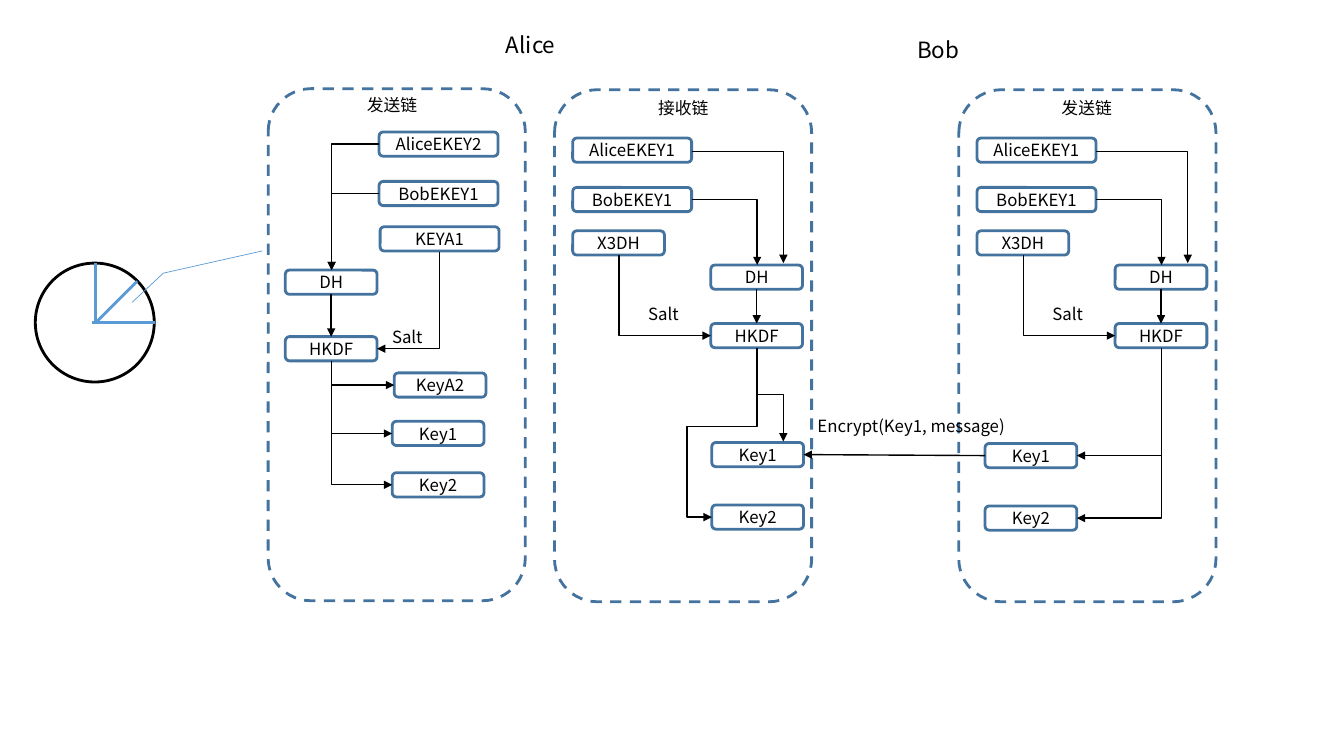
from lxml.etree import SubElement
from pptx import Presentation
from pptx.dml.color import RGBColor
from pptx.enum.dml import MSO_LINE
from pptx.enum.shapes import MSO_CONNECTOR, MSO_SHAPE
from pptx.enum.text import MSO_ANCHOR, PP_ALIGN
from pptx.oxml.ns import qn
from pptx.util import Inches, Pt

COLORS = {"black": "000000", "border": "43739E", "clock": "5B9BD5"}
FONT = "Noto Sans CJK SC"
KEY_WIDTH, WIDE_WIDTH, BOX_HEIGHT = 0.91, 1.18, 0.24

presentation = Presentation()
presentation.slide_width = Inches(13.33)
presentation.slide_height = Inches(7.5)
slide = presentation.slides.add_slide(presentation.slide_layouts[6])


def add_text(text, left, top, width=KEY_WIDTH, height=BOX_HEIGHT, size=12,
             outline=MSO_SHAPE.ROUNDED_RECTANGLE, color="border", dash=None):
    bounds = [Inches(value) for value in (left, top, width, height)]
    if outline is None:
        shape = slide.shapes.add_textbox(*bounds)
    else:
        shape = slide.shapes.add_shape(outline, *bounds)
        shape.shadow.inherit = False
        shape.fill.background()
        shape.line.color.rgb = RGBColor.from_string(COLORS[color])
        shape.line.width = Pt(2)
        if dash:
            shape.line.dash_style = dash
    if text:
        frame = shape.text_frame
        frame.word_wrap = True
        paragraph = frame.paragraphs[0]
        if outline is not None:
            frame.margin_top = frame.margin_bottom = 0
            frame.vertical_anchor = MSO_ANCHOR.MIDDLE
            paragraph.alignment = PP_ALIGN.CENTER
        run = paragraph.add_run()
        run.text = text
        run.font.size = Pt(size)
        run.font.name = FONT
        run.font.color.rgb = RGBColor.from_string(COLORS["black"])
        SubElement(run.font._element, qn("a:ea"), typeface=FONT)
    return shape


def add_line(start, end, bends=0, downward=False, adjustments=(),
             color="black", width=1, arrow=True):
    (x1, y1), (x2, y2) = start, end
    if downward:
        center_x, center_y = (x1 + x2) / 2, (y1 + y2) / 2
        half_x, half_y = (x2 - x1) / 2, (y2 - y1) / 2
        x1, y1 = center_x - half_y, center_y + half_x
        x2, y2 = center_x + half_y, center_y - half_x
    kind = MSO_CONNECTOR.ELBOW if bends else MSO_CONNECTOR.STRAIGHT
    connector = slide.shapes.add_connector(
        kind, Inches(x1), Inches(y1), Inches(x2), Inches(y2))
    connector.line.color.rgb = RGBColor.from_string(COLORS[color])
    connector.line.width = Pt(width)
    properties = connector._element.spPr
    if bends:
        geometry = properties.find(qn("a:prstGeom"))
        geometry.set("prst", f"bentConnector{bends + 1}")
        for number, value in enumerate(adjustments, 1):
            SubElement(geometry.find(qn("a:avLst")), qn("a:gd"),
                       name=f"adj{number}", fmla=f"val {value}")
    if downward:
        properties.find(qn("a:xfrm")).set("rot", "5400000")
    if arrow:
        SubElement(properties.find(qn("a:ln")), qn("a:tailEnd"), type="triangle")
    SubElement(properties, qn("a:effectLst"))
    return connector


for name, left, top in (("Alice", 4.92, 0.26), ("Bob", 9, 0.31)):
    add_text(name, left, top, 0.81, 0.37, size=16, outline=None)

add_text("", 0.35, 2.61, 1.18, 1.18, outline=MSO_SHAPE.OVAL, color="black")
for start, end, width in (
    ((0.95, 2.61), (0.95, 3.2), 2),
    ((1.36, 2.79), (0.95, 3.2), 2),
    ((1.54, 3.2), (0.91, 3.2), 2),
    ((1.31, 3), (1.62, 2.71), 0.5),
    ((1.62, 2.71), (2.6, 2.49), 0.5),
):
    add_line(start, end, color="clock", width=width, arrow=False)

for heading, left, top, heading_left, heading_top in (
    ("发送链", 2.66, 0.88, 3.54, 0.89),
    ("接收链", 5.5, 0.89, 6.43, 0.92),
    ("发送链", 9.51, 0.89, 10.43, 0.92),
):
    add_text("", left, top, 2.55, 5.08, dash=MSO_LINE.DASH)
    add_text(heading, heading_left, heading_top, 1.16, 0.3, outline=None)

derivations = [(add_text("DH", 2.83, 2.68), add_text("HKDF", 2.83, 3.34))]
for text, left, top in (("AliceEKEY2", 3.76, 1.31), ("BobEKEY1", 3.76, 1.8),
                        ("KEYA1", 3.77, 2.25)):
    add_text(text, left, top, WIDE_WIDTH)
for key_y in (1.43, 1.92):
    add_line((3.76, key_y), (3.29, 2.68), bends=1)
add_line((4.36, 2.5), (3.74, 3.46), bends=1, downward=True)
add_text("Salt", 3.79, 3.19, 0.54, 0.3, outline=None)
for text, left, top in (("KeyA2", 3.91, 3.7), ("Key1", 3.89, 4.18),
                        ("Key2", 3.89, 4.69)):
    add_text(text, left, top)
    add_line((3.29, 3.58), (left, top + BOX_HEIGHT / 2), bends=1, downward=True)

for left in (5.5, 9.51):
    input_left, derivation_left = left + 0.18, left + 1.55
    add_text("AliceEKEY1", input_left, 1.37, WIDE_WIDTH)
    add_text("BobEKEY1", input_left, 1.86, WIDE_WIDTH)
    add_text("X3DH", input_left, 2.29)
    derivations.append((add_text("DH", derivation_left, 2.63),
                        add_text("HKDF", derivation_left, 3.21)))
    add_line((left + 1.36, 1.5), (left + 2.27, 2.61), bends=1)
    add_line((left + 1.36, 1.98), (left + 2.01, 2.63), bends=1)
    add_line((left + 0.64, 2.53), (derivation_left, 3.33), bends=1, downward=True)
    add_text("Salt", left + 0.83, 2.96, 0.54, 0.3, outline=None)

for exchange, derivation in derivations:
    arrow = add_line((0, 0), (1, 1))
    arrow.begin_connect(exchange, 2)
    arrow.end_connect(derivation, 0)

alice_key = add_text("Key1", 7.06, 4.39)
add_text("Key2", 7.06, 5.01)
add_line((7.51, 3.45), (7.77, 4.38), bends=2, downward=True)
add_line((7.51, 3.45), (7.06, 5.13), bends=3, downward=True,
         adjustments=(46400, 154800))

bob_key = add_text("Key1", 9.77, 4.4)
add_text("Key2", 9.77, 5.02)
for key_y in (4.52, 5.14):
    add_line((11.52, 3.45), (10.68, key_y), bends=1, downward=True)

message = add_line((9.77, 4.52), (7.97, 4.51))
message.begin_connect(bob_key, 1)
message.end_connect(alice_key, 3)
add_text("Encrypt(Key1, message)", 8.01, 4.08, 2.63, 0.3, outline=None)

presentation.save("out.pptx")
